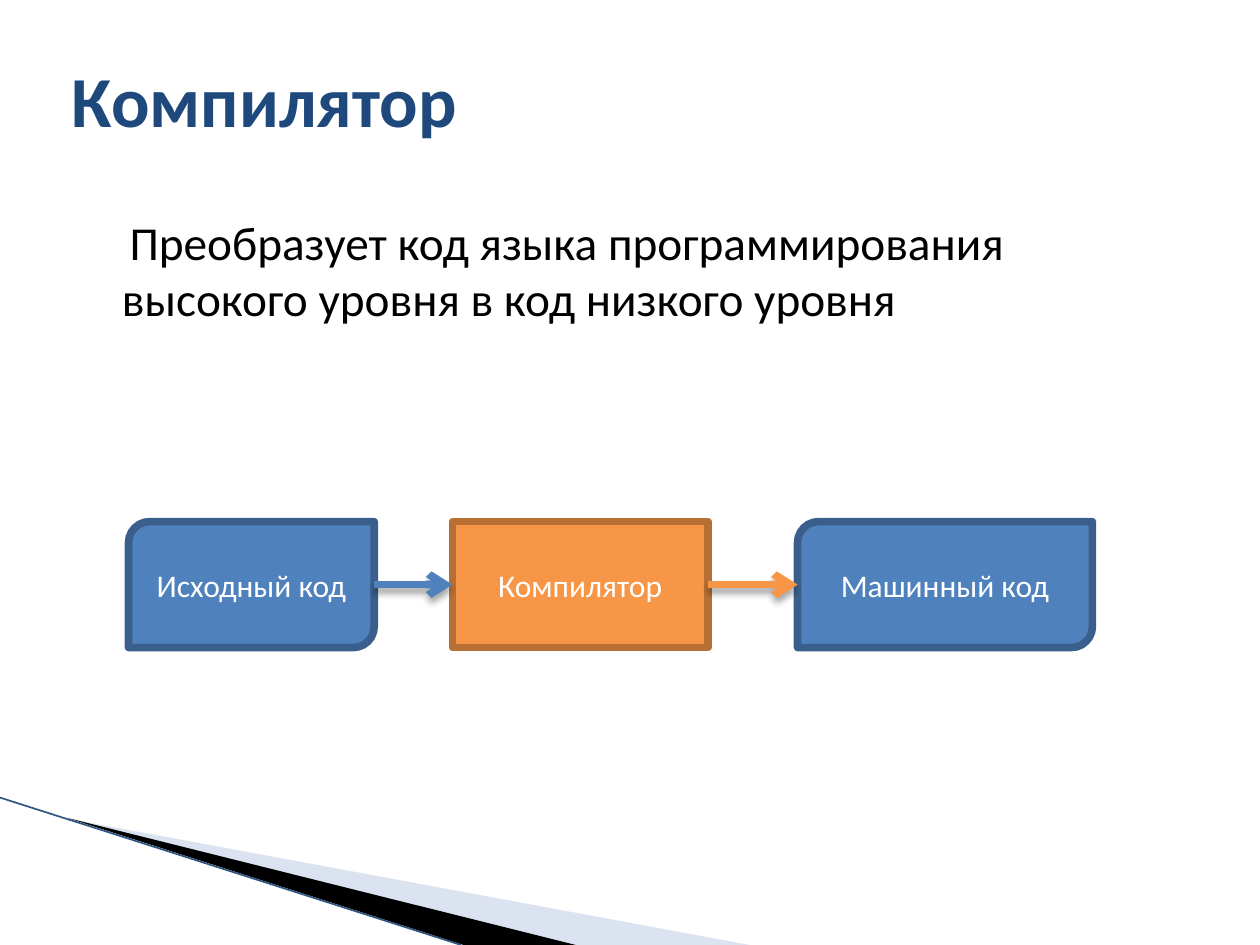
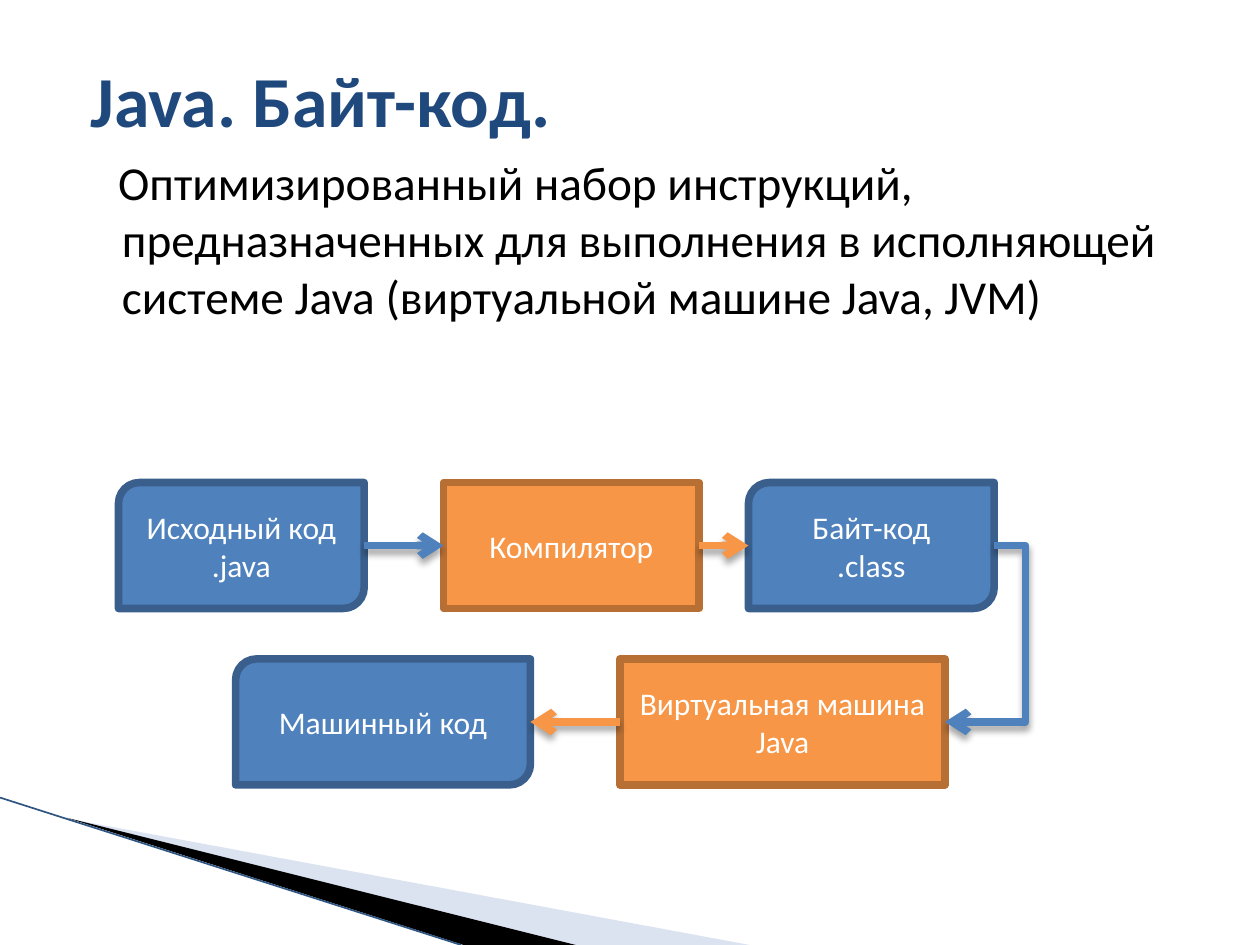
from dataclasses import dataclass

from lxml import etree
from pptx import Presentation
from pptx.dml.color import RGBColor
from pptx.enum.shapes import MSO_CONNECTOR, MSO_SHAPE
from pptx.enum.text import MSO_ANCHOR, MSO_AUTO_SIZE, PP_ALIGN
from pptx.oxml.ns import qn
from pptx.util import Inches, Pt

STRAIGHT, ELBOW = MSO_CONNECTOR.STRAIGHT, MSO_CONNECTOR.ELBOW
CODE_SHAPE, TOOL_SHAPE = MSO_SHAPE.ROUND_2_DIAG_RECTANGLE, MSO_SHAPE.RECTANGLE
LEFT, CENTER = PP_ALIGN.LEFT, PP_ALIGN.CENTER
TOP, MIDDLE = MSO_ANCHOR.TOP, MSO_ANCHOR.MIDDLE
NO_AUTOFIT = MSO_AUTO_SIZE.NONE

FONT = "Calibri"
NAVY, BLACK, WHITE = "1F497D", "000000", "FFFFFF"
BLUE, DARK_BLUE = "4F81BD", "3A5F8C"
ORANGE, DARK_ORANGE = "F79646", "B76F34"
PALE_BLUE, EDGE_BLUE = "A7B9DB", "2F5583"
FLOW_LINE = 4.33
STEP_HEIGHT = 1.0
BEND_X = 8.14

PALE_WEDGE = [(0.55, 6.5), (5.95, 7.5), (4.56, 7.5)]
BLACK_WEDGE = [(0.53, 6.49), (4.57, 7.5), (3.68, 7.5)]


@dataclass(frozen=True)
class Step:
    """One box of a flow: a piece of code or the tool that turns it."""

    label: str
    left: float
    top: float
    width: float
    is_tool: bool = False

    @property
    def right(self) -> float:
        """Right edge in inches."""
        return self.left + self.width

    @property
    def middle(self) -> float:
        """Height of the horizontal centre line in inches."""
        return self.top + STEP_HEIGHT / 2

    @property
    def color(self) -> str:
        """Fill colour, also used by the arrow that leaves the step."""
        return ORANGE if self.is_tool else BLUE


@dataclass(frozen=True)
class Topic:
    """The content of one slide."""

    title: str
    title_left: float
    definition: str
    definition_top: float
    first_indent: float
    steps: list[Step]


TOPICS = [
    Topic(
        "Компилятор", 0.47,
        "Преобразует код языка программирования высокого уровня в код низкого уровня",
        1.64, 0.06,
        [
            Step("Исходный код", 1.02, 4.14, 1.95),
            Step("Компилятор", 3.59, 4.14, 2.03, True),
            Step("Машинный код", 6.33, 4.14, 2.34),
        ],
    ),
    Topic(
        "Java. Байт-код.", 0.62,
        "Оптимизированный набор инструкций, предназначенных для выполнения "
        "в исполняющей системе Java (виртуальной машине Java, JVM)",
        1.17, -0.03,
        [
            Step("Исходный код\n.java", 0.94, 3.83, 1.95),
            Step("Компилятор", 3.52, 3.83, 2.03, True),
            Step("Байт-код\n.class", 5.94, 3.83, 1.95),
            Step("Виртуальная машина Java", 4.92, 5.23, 2.58, True),
            Step("Машинный код", 1.87, 5.23, 2.34),
        ],
    ),
]


def rgb(value: str) -> RGBColor:
    """Turn a hex string into a colour."""
    return RGBColor.from_string(value)


def write(frame, text: str, *, size: float, color: str, bold: bool = False,
          align=LEFT, anchor=MIDDLE, space_before: float = 0) -> None:
    """Fill a text frame, one paragraph for each line of text."""
    frame.word_wrap = True
    frame.auto_size = NO_AUTOFIT
    frame.vertical_anchor = anchor
    frame.text = text
    for paragraph in frame.paragraphs:
        paragraph.alignment = align
        paragraph.space_before = Pt(space_before)
        font = paragraph.runs[0].font
        font.name, font.size, font.bold = FONT, Pt(size), bold
        font.color.rgb = rgb(color)


def place(shape, left: float, top: float, width: float, height: float) -> None:
    """Move and size a shape in inches."""
    shape.left, shape.top = Inches(left), Inches(top)
    shape.width, shape.height = Inches(width), Inches(height)


def add_wedge(slide, points: list[tuple[float, float]], color: str,
              opacity: int = 100) -> None:
    """Draw one filled wedge of the corner decoration."""
    start, *others = [(Inches(x), Inches(y)) for x, y in points]
    builder = slide.shapes.build_freeform(*start)
    builder.add_line_segments(others, close=True)
    wedge = builder.convert_to_shape()
    wedge.shadow.inherit = False
    wedge.line.fill.background()
    wedge.fill.solid()
    wedge.fill.fore_color.rgb = rgb(color)
    if opacity < 100:
        tint = wedge.fill._xPr.find(f".//{qn('a:srgbClr')}")
        etree.SubElement(tint, qn("a:alpha"), val=str(opacity * 1000))


def add_line(slide, kind, start: tuple[float, float], end: tuple[float, float],
             color: str, width: float):
    """Draw a connector whose effect list is empty."""
    line = slide.shapes.add_connector(kind, *map(Inches, start + end))
    line.line.color.rgb = rgb(color)
    line.line.width = Pt(width)
    etree.SubElement(line._element.spPr, qn("a:effectLst"))
    return line


def add_corner(slide) -> None:
    """Draw the decoration in the lower left corner."""
    add_wedge(slide, PALE_WEDGE, PALE_BLUE, opacity=40)
    add_wedge(slide, BLACK_WEDGE, BLACK)
    add_line(slide, STRAIGHT, (0, 6.33), (3.66, 7.5), EDGE_BLUE, 0.95)


def add_step(slide, step: Step) -> None:
    """Draw one box of the flow."""
    box = slide.shapes.add_shape(TOOL_SHAPE if step.is_tool else CODE_SHAPE, 0, 0, 0, 0)
    place(box, step.left, step.top, step.width, STEP_HEIGHT)
    box.shadow.inherit = False
    box.fill.solid()
    box.fill.fore_color.rgb = rgb(step.color)
    box.line.color.rgb = rgb(DARK_ORANGE if step.is_tool else DARK_BLUE)
    box.line.width = Pt(FLOW_LINE)
    write(box.text_frame, step.label, size=18, color=WHITE, align=CENTER)


def add_arrow(slide, source: Step, target: Step) -> None:
    """Join two steps: along a row, or around the right side to the next row."""
    turns = source.top != target.top
    leftward = target.left < source.left
    start_x = source.left if leftward and not turns else source.right
    end_x = target.right if leftward else target.left
    arrow = add_line(slide, ELBOW if turns else STRAIGHT, (start_x, source.middle),
                     (end_x, target.middle), source.color, FLOW_LINE)
    properties = arrow._element.spPr
    etree.SubElement(properties.find(qn("a:ln")), qn("a:tailEnd"), type="arrow")
    if turns:
        bend = round((BEND_X - start_x) / (end_x - start_x) * 100000)
        guides = properties.find(f".//{qn('a:avLst')}")
        etree.SubElement(guides, qn("a:gd"), name="adj1", fmla=f"val {bend}")
    shadow = etree.SubElement(properties.find(qn("a:effectLst")), qn("a:outerShdw"),
                              blurRad=str(Pt(4)), dist=str(Pt(3)), dir="5400000",
                              rotWithShape="0")
    tint = etree.SubElement(shadow, qn("a:srgbClr"), val=BLACK)
    etree.SubElement(tint, qn("a:alpha"), val="35000")


def add_definition(slide, topic: Topic) -> None:
    """Write the definition with its own first-line indent."""
    definition = slide.shapes.add_textbox(0, 0, 0, 0)
    place(definition, 0.47, topic.definition_top, 9, 3.03)
    write(definition.text_frame, topic.definition, size=27, color=BLACK,
          anchor=TOP, space_before=4)
    paragraph = definition.text_frame.paragraphs[0]._p.get_or_add_pPr()
    paragraph.set("marL", str(Inches(0.4)))
    paragraph.set("indent", str(Inches(topic.first_indent)))


def add_topic(deck, topic: Topic) -> None:
    """Build one slide: decoration, title, definition and flow."""
    slide = deck.slides.add_slide(deck.slide_layouts.get_by_name("Title Only"))
    add_corner(slide)
    title = slide.shapes.title
    place(title, topic.title_left, 0.16, 9, 1.25)
    write(title.text_frame, topic.title, size=41, color=NAVY, bold=True)
    add_definition(slide, topic)
    for step in topic.steps:
        add_step(slide, step)
    for source, target in zip(topic.steps, topic.steps[1:]):
        add_arrow(slide, source, target)


def main() -> None:
    """Build and save the presentation."""
    deck = Presentation()
    deck.slide_width, deck.slide_height = Inches(10), Inches(7.5)
    for topic in TOPICS:
        add_topic(deck, topic)
    deck.save("out.pptx")


main()
